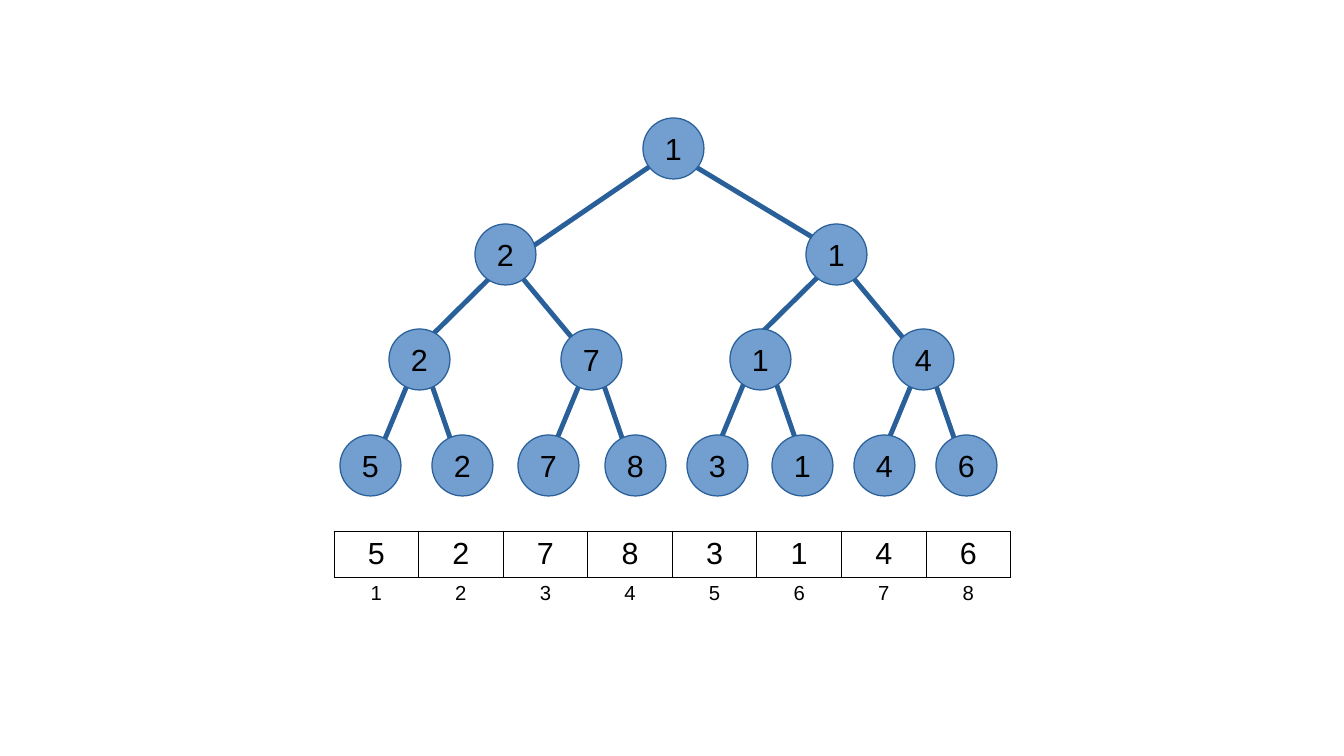
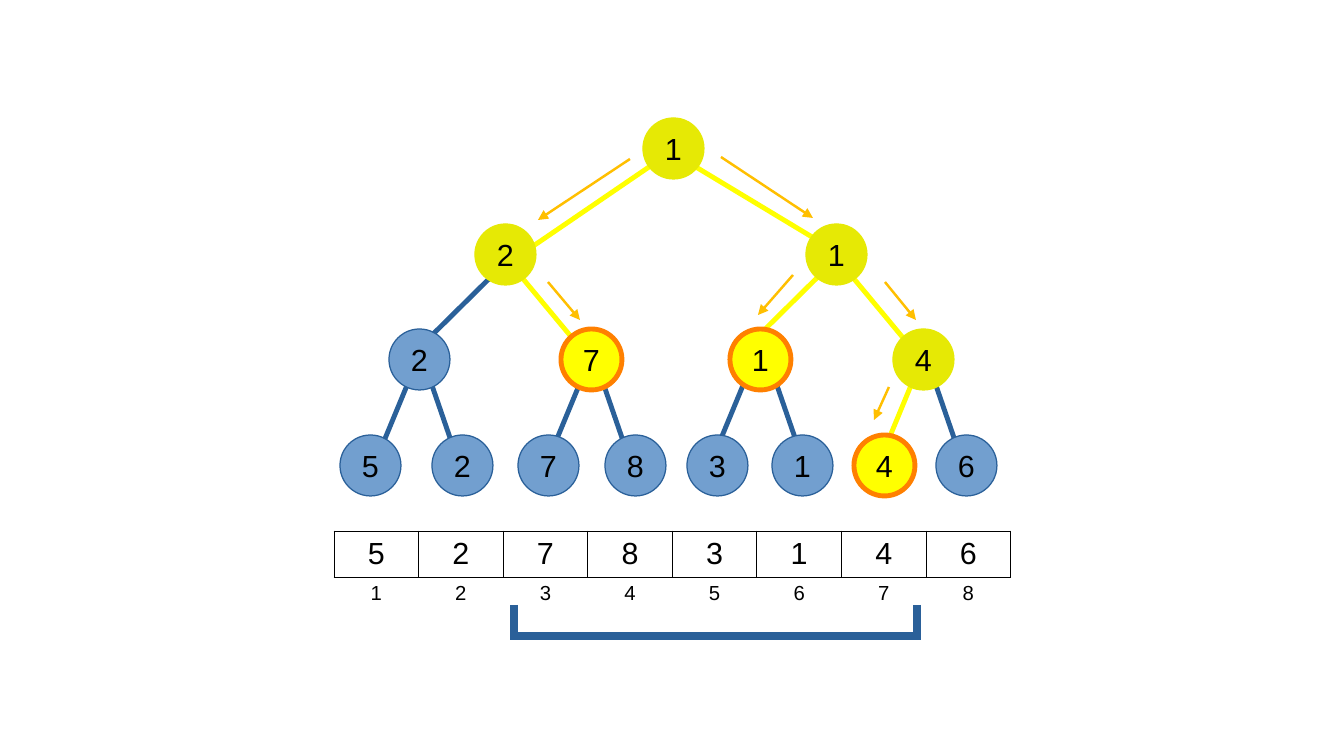
import pptx
import pptx.dml.color
import pptx.enum.shapes
import pptx.enum.text
import pptx.oxml
import pptx.oxml.ns
import pptx.util

PX = 914400 / 122
SLIDE = (1344, 756)
TREE_BOX = (340, 118, 657, 378)
ARRAY_BOX = (334, 531, 677, 46)
INDEX_BOX = (334, 570, 677, 46)
BRACKET_BOX = (514, 605, 403, 35)

BLUE = "2A6099"
EDGE_WIDTH = 2.89
PLAIN = {"fill": "729FCF", "line": BLUE, "width": 0}
VISITED = {"fill": "E6E905", "line": "E6E905", "width": 0}
CHOSEN = {"fill": "FFFF00", "line": "FF8000", "width": EDGE_WIDTH}
PATH_COLOUR = "FFFF00"
ARROW_COLOUR = "FFBF00"

VALUES = [5, 2, 7, 8, 3, 1, 4, 6]
NODE_SIZE = 61
NODE_LEFTS = [303, 135, 466, 49, 221, 390, 553, 0, 92, 178, 265, 347, 432, 514, 596]
EDGES = {
    1: [(28, 34, -145, 99), (28, 34, 156, 94)],
    2: [(28, 41, -92, 91), (44, 50, 64, 77)],
    3: [(24, 42, -36, 87), (38, 42, 30, 87)],
}
EDGE_SHIFTS = {6: -4, 12: -5, 13: 4}

QUERY_STATES = {**dict.fromkeys([1, 2, 3, 7], VISITED), **dict.fromkeys([5, 6, 14], CHOSEN)}
QUERY_ARROWS = {
    2: (290, 41, 198, 102),
    3: (381, 39, 473, 100),
    5: (208, 164, 240, 202),
    6: (453, 157, 418, 197),
    7: (545, 164, 576, 202),
    14: (549, 269, 534, 302),
}


def px(length):
    return pptx.util.Emu(round(length * PX))


def colour(code):
    return pptx.dml.color.RGBColor.from_string(code)


def set_all(target, values):
    for name, value in values.items():
        setattr(target, name, value)


def write(frame, text, size):
    para = frame.paragraphs[0]
    para.alignment = pptx.enum.text.PP_ALIGN.CENTER
    span = para.add_run()
    span.text = str(text)
    set_all(span.font, {"size": pptx.util.Pt(size), "name": "Arial"})
    span.font.color.rgb = colour("000000")


def add_line(page, points, code, width, arrow=False):
    line = page.shapes.add_connector(
        pptx.enum.shapes.MSO_CONNECTOR.STRAIGHT, *[px(point) for point in points])
    line.line.color.rgb = colour(code)
    line.line.width = pptx.util.Pt(width)
    properties = line._element.spPr
    if arrow:
        outline = line.line._get_or_add_ln()
        outline.append(pptx.oxml.parse_xml(
            f'<a:tailEnd {pptx.oxml.ns.nsdecls("a")} type="triangle"/>'))
    properties.append(pptx.oxml.parse_xml(f'<a:effectLst {pptx.oxml.ns.nsdecls("a")}/>'))


def add_node(page, left, top, value, style):
    node = page.shapes.add_shape(
        pptx.enum.shapes.MSO_SHAPE.OVAL, px(left), px(top), px(NODE_SIZE), px(NODE_SIZE))
    node.shadow.inherit = False
    node.fill.solid()
    node.fill.fore_color.rgb = colour(style["fill"])
    node.line.color.rgb = colour(style["line"])
    node.line.width = pptx.util.Pt(style["width"])
    node.text_frame.vertical_anchor = pptx.enum.text.MSO_ANCHOR.MIDDLE
    write(node.text_frame, value, 18)


def minimum_tree(leaves):
    tree = [None] * len(leaves) + leaves
    for number in range(len(leaves) - 1, 0, -1):
        tree[number] = min(tree[2 * number], tree[2 * number + 1])
    return tree


def add_tree(page, box, states):
    left, top, _, height = box
    step = (height - NODE_SIZE) / 3

    def place(number):
        level = number.bit_length() - 1
        return left + NODE_LEFTS[number - 1], top + round(level * step)

    tree = minimum_tree(VALUES)
    for number in range(2, len(tree)):
        parent_left, parent_top = place(number // 2)
        level = number.bit_length() - 1
        across, down, run, rise = EDGES[level][number % 2]
        x = parent_left + across + EDGE_SHIFTS.get(number, 0)
        y = parent_top + down
        code = PATH_COLOUR if number in states else BLUE
        add_line(page, (x, y, x + run, y + rise), code, EDGE_WIDTH)
    for number in range(1, len(tree)):
        add_node(page, *place(number), tree[number], states.get(number, PLAIN))


def add_arrows(page, box, arrows):
    left, top = box[:2]
    for x1, y1, x2, y2 in arrows.values():
        add_line(page, (left + x1, top + y1, left + x2, top + y2), ARROW_COLOUR, 1.45, True)


def add_borders(cell, visible):
    paint = '<a:solidFill><a:srgbClr val="000000"/></a:solidFill>' if visible else "<a:noFill/>"
    properties = cell._tc.get_or_add_tcPr()
    for side in "LRTB":
        properties.append(pptx.oxml.parse_xml(
            f'<a:ln{side} {pptx.oxml.ns.nsdecls("a")} w="{pptx.util.Pt(0.57)}">{paint}</a:ln{side}>'))


def add_row(page, box, texts, size, bordered):
    table = page.shapes.add_table(1, len(texts), *[px(length) for length in box]).table
    set_all(table, {"first_row": False, "horz_banding": False})
    for column, text in enumerate(texts):
        table.columns[column].width = px(box[2] / len(texts))
        cell = table.cell(0, column)
        set_all(cell, {
            "margin_left": px(5), "margin_right": px(5),
            "margin_top": px(6), "margin_bottom": px(6),
            "vertical_anchor": pptx.enum.text.MSO_ANCHOR.MIDDLE,
        })
        add_borders(cell, bordered)
        cell.fill.background()
        write(cell.text_frame, text, size)


def add_bracket(page, box):
    left, top, width, height = box
    right, bottom = left + width, top + height
    base = bottom - 4
    for points in [(left, top, left, bottom), (right, top, right, bottom),
                   (right, base, left, base)]:
        add_line(page, points, BLUE, 4.31)


def add_tree_slide(deck, states):
    page = deck.slides.add_slide(deck.slide_layouts[6])
    add_row(page, ARRAY_BOX, VALUES, 18, True)
    add_tree(page, TREE_BOX, states)
    add_row(page, INDEX_BOX, range(1, len(VALUES) + 1), 12, False)
    return page


def main():
    deck = pptx.Presentation()
    deck.slide_width, deck.slide_height = [px(length) for length in SLIDE]
    add_tree_slide(deck, {})
    query_page = add_tree_slide(deck, QUERY_STATES)
    add_bracket(query_page, BRACKET_BOX)
    add_arrows(query_page, TREE_BOX, QUERY_ARROWS)
    deck.save("out.pptx")


if __name__ == "__main__":
    main()
